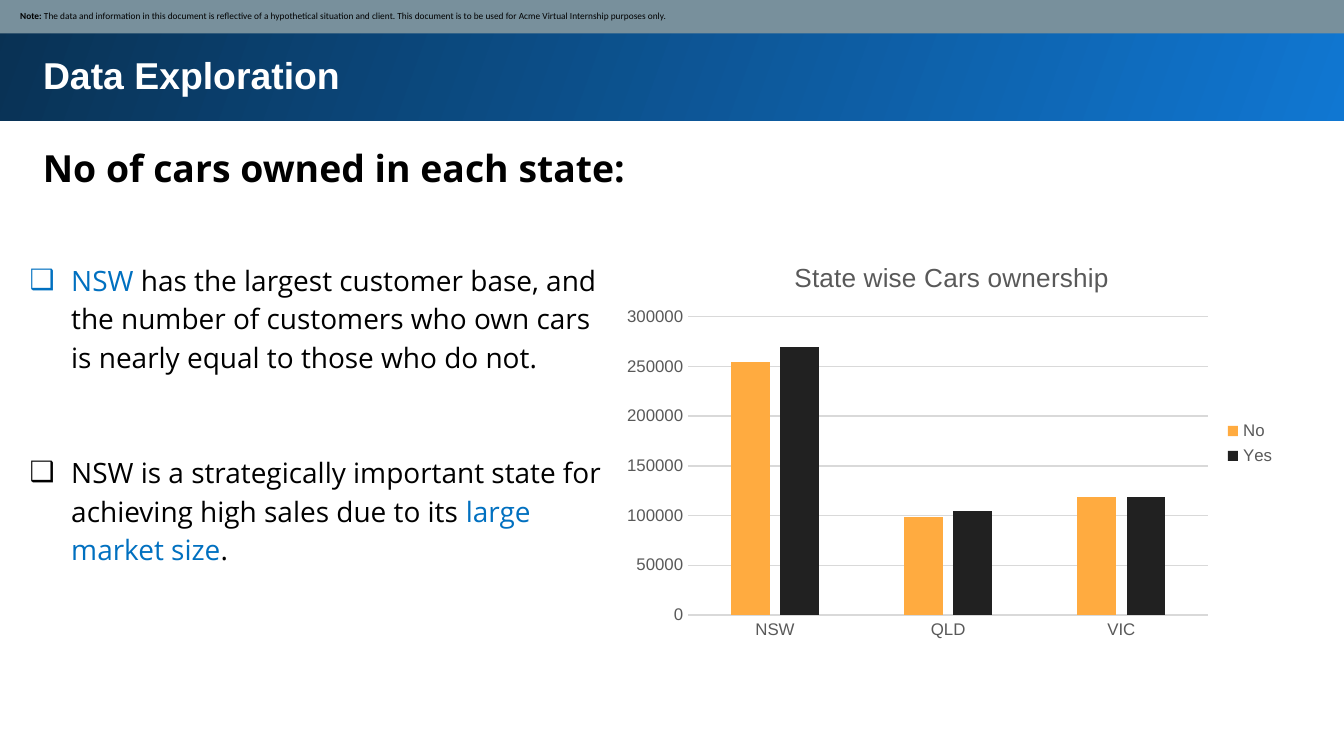
"""Build the data exploration slide on car ownership by state."""
from lxml.etree import SubElement
from pptx import Presentation
from pptx.chart.data import CategoryChartData
from pptx.dml.color import RGBColor
from pptx.enum.chart import XL_CHART_TYPE, XL_LEGEND_POSITION, XL_TICK_MARK
from pptx.enum.shapes import MSO_SHAPE
from pptx.enum.text import MSO_ANCHOR, MSO_AUTO_SIZE, PP_ALIGN
from pptx.oxml import parse_xml
from pptx.oxml.ns import nsdecls, qn
from pptx.util import Inches, Pt

HEX = {"navy": "093153", "bright": "1077D2", "slate": "78909C", "white": "FFFFFF",
       "black": "000000", "blue": "0070C0", "gray": "595959", "rule": "D9D9D9",
       "No": "FFAB40", "Yes": "212121"}
RGB = {name: RGBColor.from_string(code) for name, code in HEX.items()}


def style(font, face, size, color, bold=False):
    font.name, font.size, font.bold = face, Pt(size), bold
    font.color.rgb = RGB[color]


def place(shape, left, top, width, height):
    shape.left, shape.top = Inches(left), Inches(top)
    shape.width, shape.height = Inches(width), Inches(height)
    frame = shape.text_frame
    frame.word_wrap = True
    frame.auto_size = MSO_AUTO_SIZE.NONE
    frame.vertical_anchor = MSO_ANCHOR.TOP
    frame.margin_left = frame.margin_right = Inches(0.1)
    frame.margin_top = frame.margin_bottom = Inches(0.1)
    return frame


deck = Presentation()
deck.slide_width = Inches(10)
deck.slide_height = deck.slide_width * 9 // 16
slide = deck.slides.add_slide(deck.slide_layouts[1])
shapes = slide.shapes
title, body = slide.placeholders

band = shapes.add_shape(MSO_SHAPE.RECTANGLE, Inches(-0.02), Inches(-0.02),
                        Inches(10.05), Inches(0.92))
band.fill.gradient()
band.fill.gradient_angle = 160
for stop, color in zip(band.fill.gradient_stops, ("bright", "navy")):
    stop.color.rgb = RGB[color]
strip = shapes.add_shape(MSO_SHAPE.RECTANGLE, Inches(-0.01), Inches(-0.01),
                         Inches(10.03), Inches(0.26))
strip.fill.solid()
strip.fill.fore_color.rgb = RGB["slate"]
for bar in (band, strip):
    bar.shadow.inherit = False
    bar.line.fill.background()

frame = strip.text_frame
frame.margin_left, frame.margin_right = Inches(0.16), Inches(0.05)
frame.margin_top = frame.margin_bottom = Inches(0.05)
frame.vertical_anchor = MSO_ANCHOR.MIDDLE
note = frame.paragraphs[0]
note.alignment = PP_ALIGN.LEFT
for text, bold in (
        ("Note: ", True),
        ("The data and information in this document is reflective of a hypothetical "
         "situation and client. This document is to be used for Acme Virtual "
         "Internship purposes only.", False)):
    run = note.add_run()
    run.text = text
    style(run.font, "Calibri", 5, "black", bold)

shapes.element.append(title.element)
head = place(title, 0.22, 0.29, 9.37, 0.51).paragraphs[0]
head.text = "Data Exploration"
head.alignment = PP_ALIGN.LEFT
style(head.font, "Arial", 20, "white", True)

label = shapes.add_textbox(0, 0, 0, 0)
topic = place(label, 0.22, 0.93, 9.37, 0.56).paragraphs[0]
topic.text = "No of cars owned in each state:"
topic.line_spacing = 1.15
style(topic.font, "Open Sans", 20, "black", True)

points = [
    [("NSW", "blue"),
     (" has the largest customer base, and the number of customers who own cars "
      "is nearly equal to those who do not.", "black")],
    [("NSW is a strategically important state for achieving high sales due to its ",
      "black"), ("large market size", "blue"), (".", "black")],
]
frame = place(body, 0.12, 1.82, 4.52, 2.51)
for i, parts in enumerate(points):
    para = frame.add_paragraph() if i else frame.paragraphs[0]
    para.line_spacing = 1.15
    para.space_before = Pt(41 if i else 0)
    props = para._p.get_or_add_pPr()
    props.set("marL", str(Inches(0.31)))
    props.set("indent", str(Inches(-0.31)))
    SubElement(props, qn("a:buChar")).set("char", "❑")
    for text, color in parts:
        run = para.add_run()
        run.text = text
        style(run.font, "Open Sans", 15, color)

data = CategoryChartData()
data.categories = ["NSW", "QLD", "VIC"]
data.add_series("No", [254000, 98000, 119000])
data.add_series("Yes", [270000, 105000, 119000])
chart = shapes.add_chart(XL_CHART_TYPE.COLUMN_CLUSTERED, Inches(4.57), Inches(1.78),
                         Inches(5.02), Inches(3.04), data).chart
style(chart.font, "Arial", 10, "black")
head = chart.chart_title.text_frame.paragraphs[0]
head.text = "State wise Cars ownership"
style(head.font, "Arial", 14, "gray")
chart.has_legend = True
chart.legend.position = XL_LEGEND_POSITION.RIGHT
chart.legend.include_in_layout = False
style(chart.legend.font, "Arial", 9, "gray")

plot = chart.plots[0]
plot.gap_width, plot.overlap, plot.vary_by_categories = 219, -27, False
for series in plot.series:
    series.format.fill.solid()
    series.format.fill.fore_color.rgb = RGB[series.name]

cats, vals = chart.category_axis, chart.value_axis
for axis in (cats, vals):
    axis.major_tick_mark = axis.minor_tick_mark = XL_TICK_MARK.NONE
    style(axis.tick_labels.font, "Arial", 9, "gray")
vals.minimum_scale, vals.maximum_scale, vals.major_unit = 0, 300000, 50000
vals.format.line.fill.background()
for line in (cats.format.line, vals.major_gridlines.format.line):
    line.color.rgb = RGB["rule"]
    line.width = Pt(0.75)

area = chart.element.find(".//" + qn("c:plotArea"))
heading = chart.element.find(".//" + qn("c:title"))
for node, index, inner, spots in (
        (heading, 1, "", {"x": 0.26, "y": 0.04}),
        (area, 0, '<c:layoutTarget val="inner"/>',
         {"x": 0.11, "y": 0.19, "w": 0.77, "h": 0.73})):
    old = node.find(qn("c:layout"))
    if old is not None:
        node.remove(old)
    modes = "".join(f'<c:{key}Mode val="edge"/>' for key in "xy")
    sizes = "".join(f'<c:{key} val="{spot}"/>' for key, spot in spots.items())
    node.insert(index, parse_xml(
        f'<c:layout {nsdecls("c")}><c:manualLayout>{inner}{modes}{sizes}'
        "</c:manualLayout></c:layout>"))

deck.save("out.pptx")
